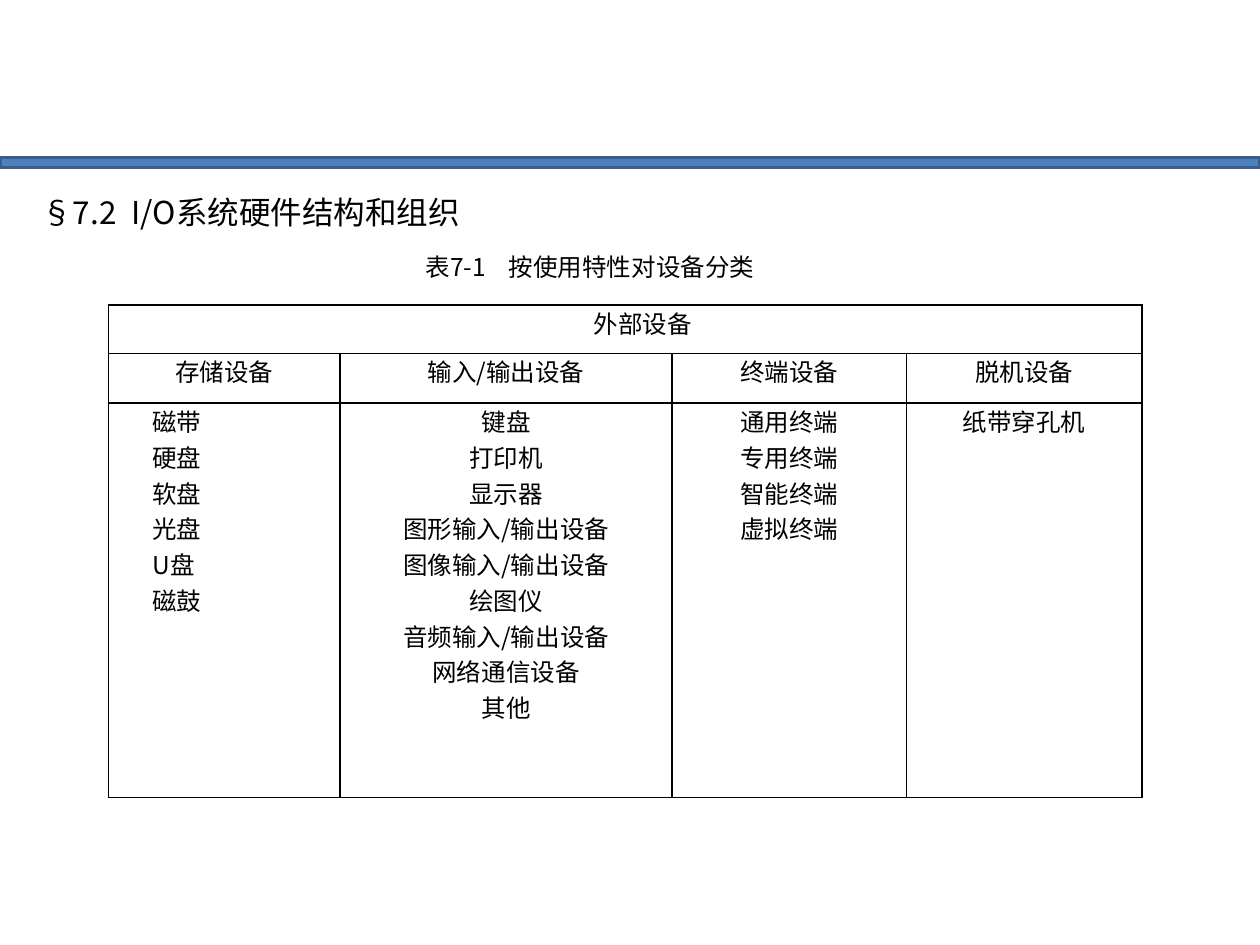
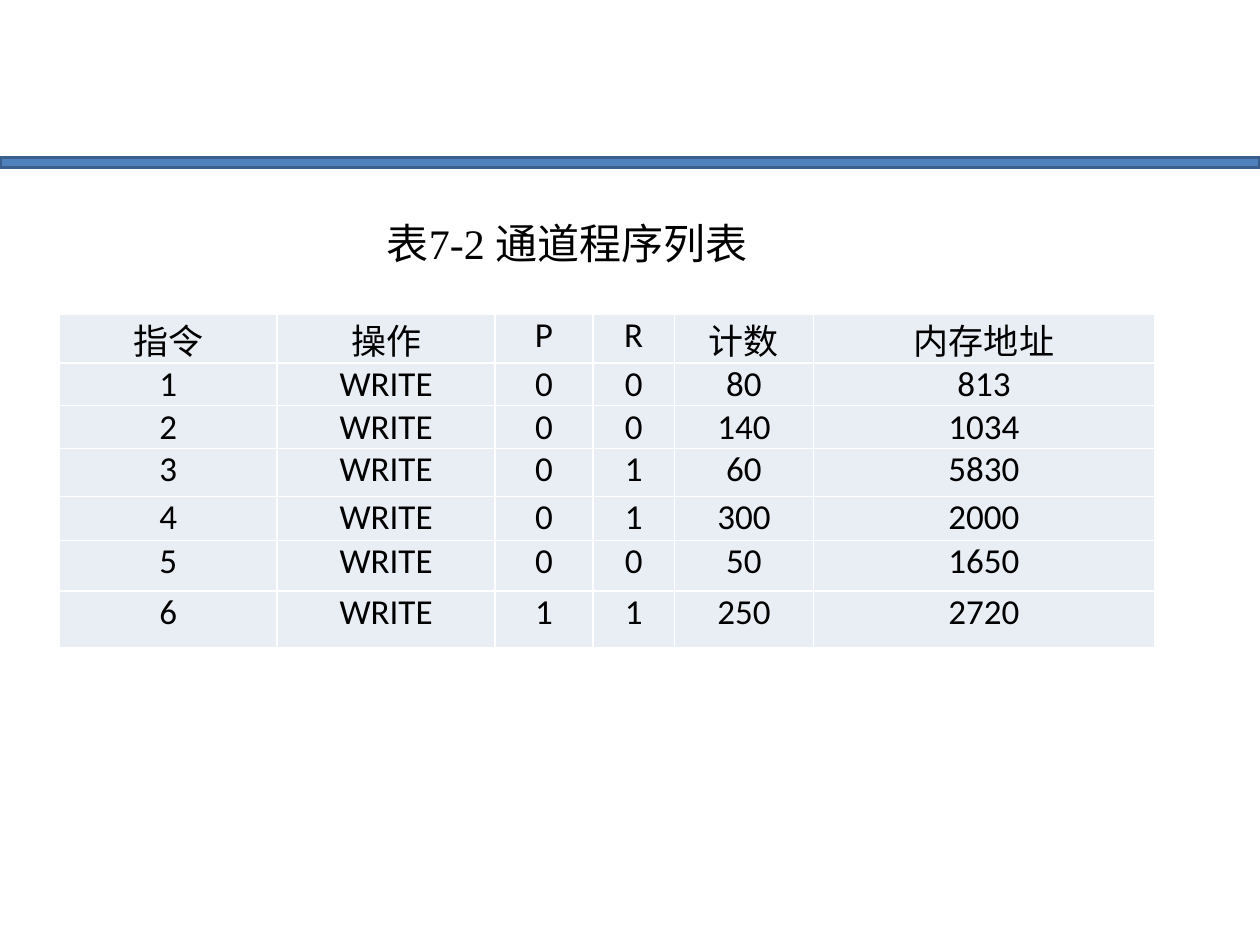
import pptx
import pptx.util
import pptx.dml.color
import pptx.enum.shapes
import pptx.enum.text
import pptx.oxml.ns
from dataclasses import dataclass
from lxml import etree


@dataclass(frozen=True)
class Theme:
    band: str = "4F81BD"
    band_line: str = "3A5F8C"
    ink: str = "000000"
    paper: str = "FFFFFF"
    cell: str = "E9EDF4"
    cjk: str = "Noto Sans CJK SC"
    sans: str = "Calibri"
    serif: str = "Times New Roman"
    heading: int = 18
    body: int = 14
    caption: int = 24
    figures: int = 20


theme = Theme()
color = pptx.dml.color.RGBColor.from_string
align = pptx.enum.text.PP_ALIGN
qn = pptx.oxml.ns.qn

deck = pptx.Presentation()
deck.slide_width = pptx.util.Inches(10)
deck.slide_height = pptx.util.Inches(7.5)
column = deck.slide_width / 100
row = deck.slide_height / 75


def write(frame, lines, font, size, alignment, indent=0, tab=0):
    for index, line in enumerate(lines):
        para = frame.paragraphs[0] if index == 0 else frame.add_paragraph()
        para.text = line
        para.alignment = alignment
        props = para._p.get_or_add_pPr()
        if indent:
            props.set("marL", "0")
            props.set("indent", str(round(indent * column)))
        if tab:
            stops = etree.SubElement(props, qn("a:tabLst"))
            etree.SubElement(stops, qn("a:tab"), pos=str(round(tab * column)), algn="l")
        para.font.name = font
        para.font.size = pptx.util.Pt(size)
        para.font.color.rgb = color(theme.ink)


def add_grid(page, left, top, widths, heights, border):
    frame = page.shapes.add_table(
        len(heights), len(widths), round(left * column), round(top * row),
        round(sum(widths) * column), round(sum(heights) * row))
    table = frame.table
    table.first_row = False
    table.horz_banding = False
    for table_column, width in zip(table.columns, widths):
        table_column.width = round(width * column)
    for table_row, height in zip(table.rows, heights):
        table_row.height = round(height * row)
    for cell in table.iter_cells():
        cell.margin_left = cell.margin_right = round(0.7 * column)
        cell.margin_top = cell.margin_bottom = 0
        for side in ("a:lnL", "a:lnR", "a:lnT", "a:lnB"):
            line = etree.SubElement(cell._tc.get_or_add_tcPr(), qn(side), w=str(pptx.util.Pt(1)))
            fill = etree.SubElement(line, qn("a:solidFill"))
            etree.SubElement(fill, qn("a:srgbClr"), val=border)
    return table


pages = [deck.slides.add_slide(deck.slide_layouts[6]) for _ in range(2)]
for page in pages:
    band = page.shapes.add_shape(
        pptx.enum.shapes.MSO_SHAPE.RECTANGLE, 0, round(12.5 * row), deck.slide_width, round(0.8 * row))
    band.shadow.inherit = False
    band.fill.solid()
    band.fill.fore_color.rgb = color(theme.band)
    band.line.color.rgb = color(theme.band_line)
    band.line.width = pptx.util.Pt(2)

device_page, channel_page = pages

titles = [
    (device_page, "§7.2\tI/O系统硬件结构和组织", (2.3, 14.8, 37.2, 4),
     theme.cjk, theme.heading, align.LEFT, 0, 7.15),
    (device_page, "表7-1\t按使用特性对设备分类", (32.8, 19.5, 28.1, 3.4),
     theme.cjk, theme.body, align.LEFT, 0, 6.6),
    (channel_page, "表7-2 通道程序列表", (24.8, 16.8, 37.5, 5),
     theme.serif, theme.caption, align.CENTER, 2.9, 0),
]
for page, text, (left, top, width, height), font, size, alignment, indent, tab in titles:
    box = page.shapes.add_textbox(
        round(left * column), round(top * row), round(width * column), round(height * row))
    box.text_frame.word_wrap = True
    if alignment == align.LEFT:
        box.text_frame.margin_right = 0
    else:
        box.text_frame.vertical_anchor = pptx.enum.text.MSO_ANCHOR.MIDDLE
    write(box.text_frame, [text], font, size, alignment, indent, tab)

devices = {
    "存储设备": ["磁带", "硬盘", "软盘", "光盘", "U盘", "磁鼓"],
    "输入/输出设备": ["键盘", "打印机", "显示器", "图形输入/输出设备", "图像输入/输出设备",
                "绘图仪", "音频输入/输出设备", "网络通信设备", "其他"],
    "终端设备": ["通用终端", "专用终端", "智能终端", "虚拟终端"],
    "脱机设备": ["纸带穿孔机"],
}
device_table = add_grid(
    device_page, 8.6, 24.2, [18.4, 26.35, 18.6, 18.7], [3.85, 3.95, 31.3], theme.ink)
for cell in device_table.iter_cells():
    cell.fill.background()
device_table.cell(0, 0).merge(device_table.cell(0, 3))
write(device_table.cell(0, 0).text_frame, ["外部设备"], theme.cjk, theme.body, align.CENTER, 2.8)
for index, (group, members) in enumerate(devices.items()):
    write(device_table.cell(1, index).text_frame, [group], theme.cjk, theme.body, align.CENTER)
    alignment, indent = (align.JUSTIFY, 2.8) if index == 0 else (align.CENTER, 0)
    write(device_table.cell(2, index).text_frame, members, theme.cjk, theme.body, alignment, indent)

commands = [
    ("指令", "操作", "P", "R", "计数", "内存地址"),
    (1, "WRITE", 0, 0, 80, 813),
    (2, "WRITE", 0, 0, 140, 1034),
    (3, "WRITE", 0, 1, 60, 5830),
    (4, "WRITE", 0, 1, 300, 2000),
    (5, "WRITE", 0, 0, 50, 1650),
    (6, "WRITE", 1, 1, 250, 2720),
]
channel_table = add_grid(
    channel_page, 4.7, 24.9, [17.3, 17.3, 7.75, 6.5, 11, 27.1],
    [3.9, 3.4, 3.4, 3.8, 3.5, 4, 4.5], theme.paper)
for row_index, command in enumerate(commands):
    for column_index, value in enumerate(command):
        cell = channel_table.cell(row_index, column_index)
        cell.fill.solid()
        cell.fill.fore_color.rgb = color(theme.cell)
        write(cell.text_frame, [str(value)], theme.sans, theme.figures, align.CENTER)

deck.save("out.pptx")
